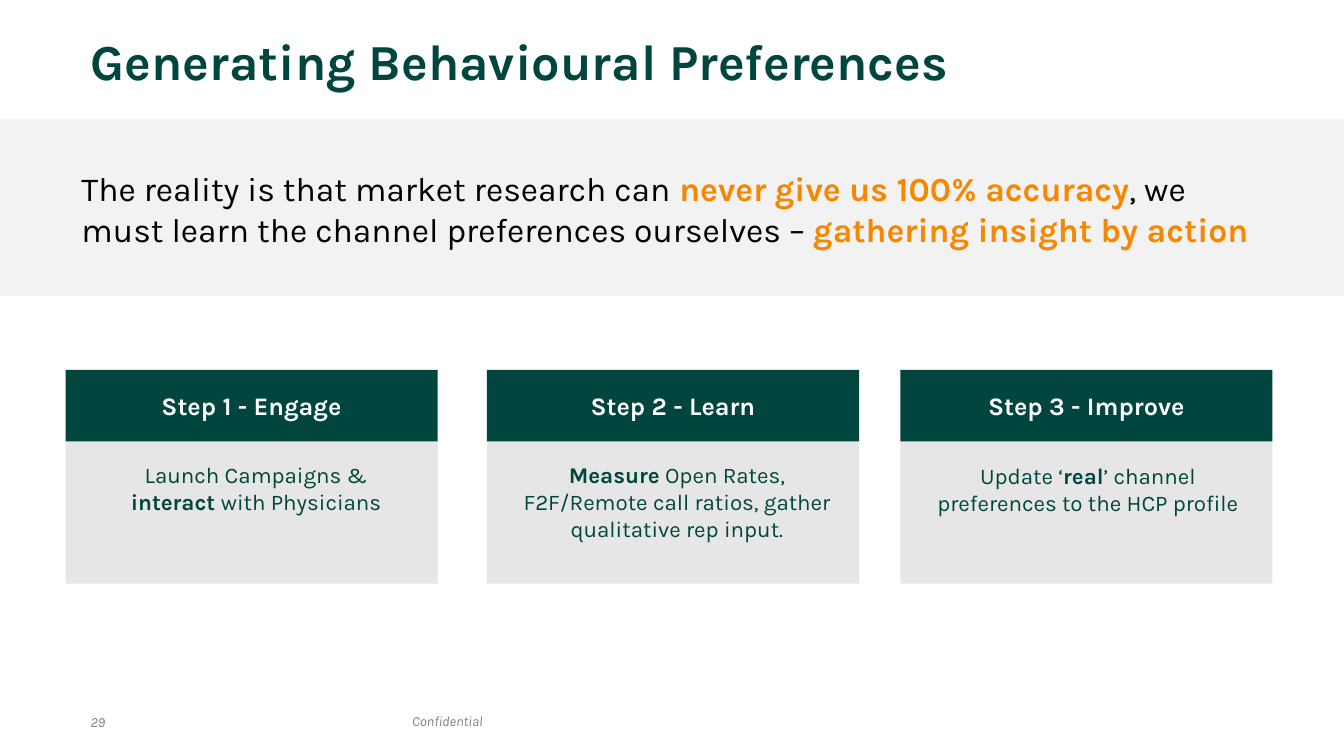
from pptx import Presentation
from pptx.dml.color import RGBColor
from pptx.enum.shapes import MSO_SHAPE
from pptx.enum.text import MSO_ANCHOR, PP_ALIGN
from pptx.util import Inches, Pt

FONT = "Karla"
COLORS = {
    "green": "00463E", "orange": "F58800", "black": "000000", "white": "FFFFFF",
    "band": "F2F2F2", "card": "E6E6E6", "gray": "808080",
}

# Runs are (text, is_bold)
TITLE = [("Generating Behavioural Preferences", True)]
CLAIM = [
    ("The reality is that market research can", False),
    (" never give us 100% accuracy", True),
    (", we must learn the channel preferences ourselves – ", False),
    ("gathering insight by action", True),
]
# Card left, heading, text box (left, top, width, height), runs
STEPS = [
    (0.65, "Step 1 - Engage", (1.01, 4.53, 3.06, 0.64),
     [("Launch Campaigns & ", False), ("interact ", True), ("with Physicians", False)]),
    (4.83, "Step 2 - Learn", (5.03, 4.53, 3.37, 0.91),
     [("Measure", True),
      (" Open Rates, F2F/Remote call ratios, gather qualitative rep input.", False)]),
    (8.93, "Step 3 - Improve", (9.08, 4.54, 3.42, 0.64),
     [("Update ‘", False), ("real", True),
      ("’ channel preferences to the HCP profile", False)]),
]
FOOTER = [("Confidential", (3.99, 7.02, 0.93, 0.27)), ("29", (0.8, 7.03, 0.41, 0.27))]

CARD_W, HEAD_TOP, HEAD_H, BODY_TOP, BODY_H = 3.69, 3.67, 0.71, 4.37, 1.42


def rgb(name):
    return RGBColor.from_string(COLORS[name])


def write(frame, runs, size, color, accent=None, align=PP_ALIGN.LEFT, italic=False):
    """Fill a frame with one paragraph; bold runs take the accent colour."""
    para = frame.paragraphs[0]
    para.alignment = align
    para.font.name, para.font.size, para.font.italic = FONT, Pt(size), italic
    for text, bold in runs:
        run = para.add_run()
        run.text = text
        run.font.bold = bold
        run.font.color.rgb = rgb(accent if accent and bold else color)


def add_text(slide, box, runs, size, color, wrap=True, **style):
    frame = slide.shapes.add_textbox(*map(Inches, box)).text_frame
    frame.word_wrap = wrap
    write(frame, runs, size, color, **style)
    return frame


def add_block(slide, box, color):
    block = slide.shapes.add_shape(MSO_SHAPE.RECTANGLE, *map(Inches, box))
    block.shadow.inherit = False
    block.fill.solid()
    block.fill.fore_color.rgb = rgb(color)
    block.line.fill.background()
    return block


def add_step(slide, left, heading, box, runs):
    add_block(slide, (left, BODY_TOP, CARD_W, BODY_H), "card")
    add_text(slide, box, runs, 16, "green", align=PP_ALIGN.CENTER)
    head = add_block(slide, (left, HEAD_TOP, CARD_W, HEAD_H), "green").text_frame
    head.vertical_anchor = MSO_ANCHOR.MIDDLE
    write(head, [(heading, True)], 18, "white", align=PP_ALIGN.CENTER)


def main():
    deck = Presentation()
    deck.slide_width, deck.slide_height = Inches(13.33), Inches(7.5)
    slide = deck.slides.add_slide(deck.slide_layouts[6])

    for text, box in FOOTER:
        add_text(slide, box, [(text, False)], 10, "gray", wrap=False, italic=True)
    add_block(slide, (0, 1.18, 13.33, 1.76), "band")
    title = add_text(slide, (0.8, 0.28, 11.82, 1.42), TITLE, 36, "green")
    title.margin_top, title.margin_bottom = Inches(0.02), 0
    add_text(slide, (0.71, 1.62, 11.82, 1.04), CLAIM, 24, "black", accent="orange")
    for step in STEPS:
        add_step(slide, *step)

    deck.save("out.pptx")


if __name__ == "__main__":
    main()
